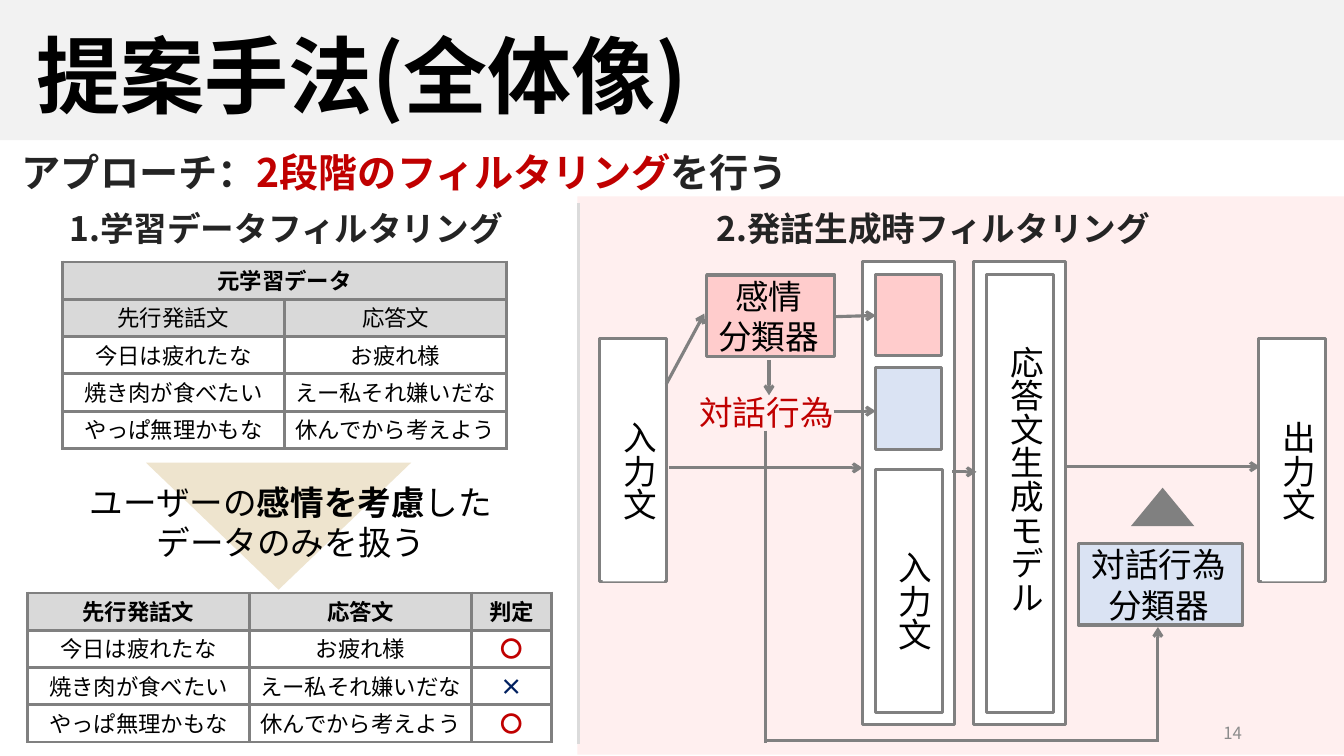
import pptx
import pptx.dml.color
import pptx.enum.shapes
import pptx.enum.text
import pptx.oxml
import pptx.oxml.ns
import pptx.util
from lxml import etree

Cm = pptx.util.Cm
Pt = pptx.util.Pt
Shape = pptx.enum.shapes.MSO_SHAPE
Align = pptx.enum.text.PP_ALIGN
Anchor = pptx.enum.text.MSO_ANCHOR

FONT = "Noto Sans CJK JP"
BLACK, INK, GRAY, WHITE = "000000", "242424", "808080", "FFFFFF"
RED, NAVY, PINK, BLUE = "C00000", "002060", "FFCCCC", "DAE3F3"
HEADER = "D9D9D9"


def rgb(value):
    return pptx.dml.color.RGBColor.from_string(value)


def child(parent, tag, **attributes):
    return etree.SubElement(parent, pptx.oxml.ns.qn(tag), **attributes)


def write(frame, *paragraphs, size=24, color=BLACK, bold=False, align=Align.LEFT):
    """Each paragraph is a string or a list of (text, format changes)."""
    for index, content in enumerate(paragraphs):
        para = frame.paragraphs[0] if index == 0 else frame.add_paragraph()
        para.alignment = align
        para.line_spacing = Pt(1.2 * size)
        pieces = [(content, {})] if isinstance(content, str) else content
        for text, changes in pieces:
            span = para.add_run()
            span.text = text
            span.font.size = Pt(size)
            span.font.name = FONT
            span.font.bold = changes.get("bold", bold)
            span.font.color.rgb = rgb(changes.get("color", color))
            child(span.font._element, "a:ea", typeface=FONT)


class Page:
    def __init__(self, deck, line_color=GRAY, line_width=2.25):
        self.page = deck.slides.add_slide(deck.slide_layouts[6])
        self.line_color = line_color
        self.line_width = Pt(line_width)

    def shape(self, left, top, width, height, fill=None, outline=True, kind=Shape.RECTANGLE):
        shape = self.page.shapes.add_shape(kind, Cm(left), Cm(top), Cm(width), Cm(height))
        shape.shadow.inherit = False
        if fill:
            shape.fill.solid()
            shape.fill.fore_color.rgb = rgb(fill)
        else:
            shape.fill.background()
        if outline:
            shape.line.color.rgb = rgb(self.line_color)
            shape.line.width = self.line_width
        else:
            shape.line.fill.background()
        return shape

    def text(self, left, top, width, height, *paragraphs, anchor=Anchor.TOP, **style):
        box = self.page.shapes.add_textbox(Cm(left), Cm(top), Cm(width), Cm(height))
        frame = box.text_frame
        frame.word_wrap = True
        frame.vertical_anchor = anchor
        frame.margin_top = Cm(0.13 + 0.003 * style.get("size", 24))
        write(frame, *paragraphs, **style)

    def vertical_text(self, left, top, height, text, fill=None):
        box = self.page.shapes.add_textbox(Cm(left), Cm(top), Cm(1.55), Cm(height))
        if fill:
            box.fill.solid()
            box.fill.fore_color.rgb = rgb(fill)
        box.text_frame.word_wrap = True
        box.text_frame._txBody.bodyPr.set("vert", "eaVert")
        write(box.text_frame, text)

    def line(self, left, top, right, bottom, color=None, arrow=True):
        line = self.page.shapes.add_connector(
            pptx.enum.shapes.MSO_CONNECTOR.STRAIGHT, Cm(left), Cm(top), Cm(right), Cm(bottom))
        line.line.color.rgb = rgb(color or self.line_color)
        line.line.width = self.line_width
        if arrow:
            child(line.line._get_or_add_ln(), "a:tailEnd", type="arrow")
        child(line._element.spPr, "a:effectLst")

    def border(self, cell):
        properties = cell._tc.get_or_add_tcPr()
        for index, side in enumerate(("a:lnL", "a:lnR", "a:lnT", "a:lnB")):
            edge = etree.Element(pptx.oxml.ns.qn(side), w=str(self.line_width))
            child(child(edge, "a:solidFill"), "a:srgbClr", val=self.line_color)
            properties.insert(index, edge)

    def table(self, left, top, widths, rows, header_rows, row_height=0.94):
        table = self.page.shapes.add_table(
            len(rows), len(widths), Cm(left), Cm(top),
            Cm(sum(widths)), Cm(row_height * len(rows))).table
        for column, width in zip(table.columns, widths):
            column.width = Cm(width)
        marks = {"〇": RED, "×": NAVY}
        for row_index, row in enumerate(rows):
            table.rows[row_index].height = Cm(row_height)
            for column_index, text in enumerate(row):
                cell = table.cell(row_index, column_index)
                cell.fill.solid()
                cell.fill.fore_color.rgb = rgb(HEADER if row_index < header_rows else WHITE)
                cell.margin_top, cell.margin_bottom = Cm(0.18), Cm(0.08)
                cell.margin_left = cell.margin_right = Cm(0.1)
                self.border(cell)
                if text:
                    write(cell.text_frame, text, size=16, color=marks.get(text, BLACK),
                          bold=row_index == 0 or text in marks, align=Align.CENTER)
        return table


def main():
    deck = pptx.Presentation()
    deck.slide_width, deck.slide_height = Cm(33.87), Cm(19.05)
    page = Page(deck)

    # Background panels and headings
    page.shape(14.55, 4.95, 19.32, 14.07, "FFEFEF", outline=False)
    page.shape(0, 0, 33.87, 3.53, "F2F2F2", outline=False)
    page.text(0.66, 0.28, 19.91, 2.82, "提案手法(全体像)", size=60, bold=True)
    page.text(0.3, 3.53, 24.59, 1.45,
              [("アプローチ：", {}), ("2段階のフィルタリング", {"color": RED}), ("を行う", {})],
              size=28, color=INK, bold=True)
    page.line(14.58, 5.11, 14.58, 18.75, color="DBDBDB", arrow=False)
    for left, heading in ((1.5, "1.学習データフィルタリング"), (17.81, "2.発話生成時フィルタリング")):
        page.text(left, 5.03, 14.55, 1.27, heading, color=INK, bold=True)

    # Training data before and after filtering
    columns = ("先行発話文", "応答文")
    pairs = (("今日は疲れたな", "お疲れ様"),
             ("焼き肉が食べたい", "えー私それ嫌いだな"),
             ("やっぱ無理かもな", "休んでから考えよう"))
    source = page.table(1.57, 6.6, (5.6, 5.6), [("元学習データ", ""), columns, *pairs], 2)
    source.cell(0, 0).merge(source.cell(0, 1))
    judged = [pair + (mark,) for pair, mark in zip(pairs, "〇×〇")]
    page.table(0.69, 14.94, (5.6, 5.6, 2.01), [columns + ("判定",), *judged], 1)
    funnel = page.shape(3.68, 11.66, 6.68, 3.2, "EEE4CE", outline=False,
                        kind=Shape.FLOWCHART_EXTRACT)
    funnel.rotation = 180
    page.text(1.5, 11.94, 11.66, 2.31,
              [("ユーザーの", {}), ("感情を考慮", {"bold": True}), ("した", {})],
              "データのみを扱う", align=Align.CENTER)

    # Input and output
    for left, label in ((15.11, "入力文"), (31.72, "出力文")):
        page.shape(left, 8.53, 1.68, 6.12, WHITE)
        page.vertical_text(left + 0.08, 10.36, 4.29, label, fill=WHITE)

    # Combined input and response model
    for left in (21.74, 24.54):
        page.shape(left, 6.58, 2.31, 11.68, WHITE)
    page.shape(22.07, 11.84, 1.68, 6.12)
    page.vertical_text(22.12, 13.64, 4.29, "入力文")
    for top, fill in ((6.91, PINK), (9.27, BLUE)):
        page.shape(22.07, top, 1.65, 2.06, fill)
    page.shape(24.87, 6.91, 1.68, 11.05, WHITE)
    page.vertical_text(24.94, 8.46, 9.5, "応答文生成モデル")

    # Classifiers
    for left, top, width, fill, label in ((17.81, 6.93, 3.23, PINK, "感情"),
                                          (27.18, 13.69, 4.14, BLUE, "対話行為")):
        page.shape(left, top, width, 2.06, fill)
        page.text(left - 0.05, top - 0.18, width, 2.31, label, "分類器", align=Align.CENTER)
    page.text(17.32, 9.68, 3.99, 1.27, "対話行為", color=RED, align=Align.CENTER)
    page.shape(28.5, 12.29, 1.6, 0.97, GRAY, outline=False, kind=Shape.ISOSCELES_TRIANGLE)

    # Flow arrows
    for ends in ((16.87, 11.79, 21.74, 11.79), (26.87, 11.76, 31.75, 11.76),
                 (21.01, 7.98, 22.07, 7.95), (21.01, 10.36, 22.07, 10.36),
                 (19.38, 9.07, 19.38, 9.96), (16.79, 9.68, 17.75, 7.9),
                 (24, 11.89, 24.61, 11.89)):
        page.line(*ends)

    # Path from the dialogue act to its classifier
    page.line(19.3, 10.85, 19.3, 18.72, arrow=False)
    page.line(19.3, 18.67, 29.18, 18.67, arrow=False)
    page.line(29.18, 18.69, 29.18, 15.8)

    # Page number
    page.text(23.93, 17.93, 7.62, 1.02, "14", size=12, color="8C8C8C",
              align=Align.RIGHT, anchor=Anchor.MIDDLE)

    deck.save("out.pptx")


if __name__ == "__main__":
    main()
